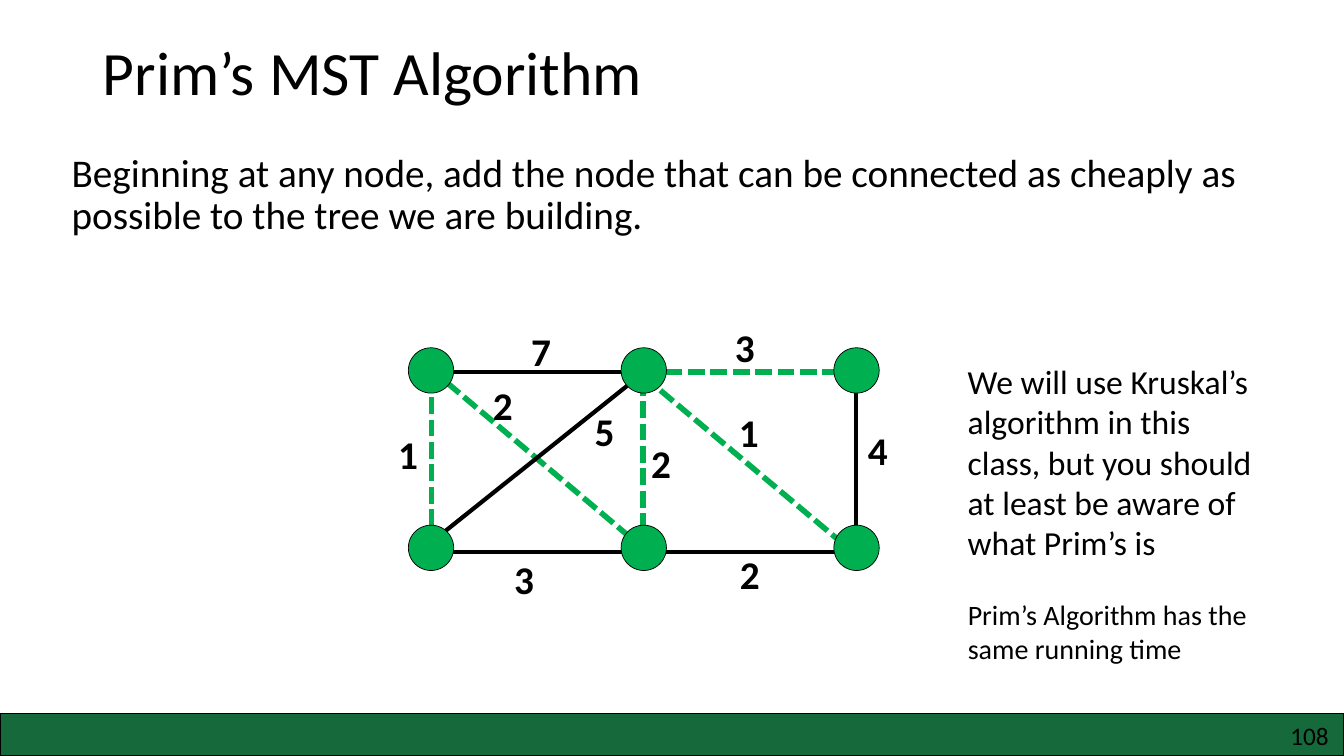
from lxml import etree
from pptx import Presentation
from pptx.dml.color import RGBColor
from pptx.enum.dml import MSO_LINE
from pptx.enum.shapes import MSO_CONNECTOR, MSO_SHAPE
from pptx.enum.text import MSO_ANCHOR, MSO_AUTO_SIZE, PP_ALIGN
from pptx.oxml.ns import qn
from pptx.util import Inches, Pt

LEFT, RIGHT = PP_ALIGN.LEFT, PP_ALIGN.RIGHT
TOP, MIDDLE = MSO_ANCHOR.TOP, MSO_ANCHOR.MIDDLE
STRAIGHT = MSO_CONNECTOR.STRAIGHT
COLORS = {"text": "000000", "node": "00B050", "bar": "15693B"}


def color(name):
    return RGBColor.from_string(COLORS[name])


def write(sp, text, box, size, bold=False, align=LEFT, anchor=TOP, spacing=1.0, inset=None):
    """Place a text shape and fill it with one formatted paragraph."""
    sp.left, sp.top, sp.width, sp.height = [Inches(v) for v in box]
    tf = sp.text_frame
    tf.word_wrap = True
    tf.auto_size = MSO_AUTO_SIZE.NONE
    tf.vertical_anchor = anchor
    if inset is not None:
        tf.margin_left = tf.margin_right = tf.margin_top = tf.margin_bottom = Inches(inset)
    p = tf.paragraphs[0]
    pPr = p._p.get_or_add_pPr()
    pPr.set("marL", "0")
    pPr.set("indent", "0")
    etree.SubElement(pPr, qn("a:buNone"))
    p.alignment = align
    p.line_spacing = spacing
    p.space_before = Pt(0)
    r = p.add_run()
    r.text = text
    r.font.name = "Calibri"
    r.font.size = Pt(size)
    r.font.bold = bold
    r.font.color.rgb = color("text")


prs = Presentation()
prs.slide_width, prs.slide_height = Inches(13.33), Inches(7.5)
s = prs.slides.add_slide(prs.slide_layouts[1])

write(s.shapes.title, "Prim’s MST Algorithm", (0.92, 0.02, 11.5, 1.45), 44,
      anchor=MIDDLE, spacing=0.9)
write(s.placeholders[1],
      "Beginning at any node, add the node that can be connected as cheaply as "
      "possible to the tree we are building.",
      (0.61, 1.47, 12.11, 5.9), 28, spacing=0.9)

# Graph edges: start, end, whether the edge is in the tree
edges = [
    (4.28, 5.44, 4.28, 3.65, True),
    (8.49, 5.41, 8.49, 3.62, False),
    (6.38, 5.48, 6.38, 3.69, True),
    (4.28, 3.69, 6.43, 3.69, False),
    (4.28, 5.48, 6.43, 5.48, False),
    (6.38, 3.69, 8.53, 3.69, True),
    (6.43, 5.48, 8.58, 5.48, False),
    (4.26, 3.65, 6.38, 5.44, True),
    (6.38, 3.73, 8.51, 5.52, True),
    (6.38, 3.7, 4.24, 5.41, False),
]
for *ends, in_tree in edges:
    edge = s.shapes.add_connector(STRAIGHT, *[Inches(v) for v in ends])
    etree.SubElement(edge._element.spPr, qn("a:effectLst"))
    edge.line.color.rgb = color("node" if in_tree else "text")
    edge.line.width = Pt(4 if in_tree else 3)
    if in_tree:
        edge.line.dash_style = MSO_LINE.SQUARE_DOT
        edge.line._ln.find(qn("a:prstDash")).set("val", "sysDash")

# Graph nodes, three columns by two rows
node_size = Inches(0.45)
for x in (4.05, 6.16, 8.27):
    for y in (3.45, 5.21):
        node = s.shapes.add_shape(MSO_SHAPE.OVAL, Inches(x), Inches(y), node_size, node_size)
        node.shadow.inherit = False
        node.fill.solid()
        node.fill.fore_color.rgb = color("node")
        node.line.color.rgb = color("text")
        node.line.width = Pt(0.5)

# Edge weights
weights = [
    ("1", 3.85, 4.22), ("1", 7.23, 4), ("4", 8.51, 4.18), ("3", 5, 5.46), ("2", 7.24, 5.41),
    ("5", 5.8, 3.99), ("2", 4.79, 3.73), ("7", 5.17, 3.2), ("3", 7.19, 3.16), ("2", 6.36, 4.31),
]
for weight, x, y in weights:
    write(s.shapes.add_textbox(0, 0, 0, 0), weight, (x, y, 0.61, 0.57), 28, bold=True)

# Footer bar
bar = s.shapes.add_shape(MSO_SHAPE.RECTANGLE, 0, Inches(7.08), Inches(13.33), Inches(0.42))
bar.shadow.inherit = False
bar.fill.solid()
bar.fill.fore_color.rgb = color("bar")
bar.line.color.rgb = color("text")
bar.line.width = Pt(1)

# Side notes and page number
write(s.shapes.add_textbox(0, 0, 0, 0),
      "We will use Kruskal’s algorithm in this class, but you should at least be "
      "aware of what Prim’s is",
      (9.5, 3.53, 3.14, 2.12), 24)
write(s.shapes.add_textbox(0, 0, 0, 0), "Prim’s Algorithm has the same running time",
      (9.5, 5.88, 3.42, 0.77), 20)
write(s.shapes.add_textbox(0, 0, 0, 0), "108", (12.45, 7.15, 0.73, 0.3), 18,
      align=RIGHT, inset=0)

prs.save("out.pptx")
